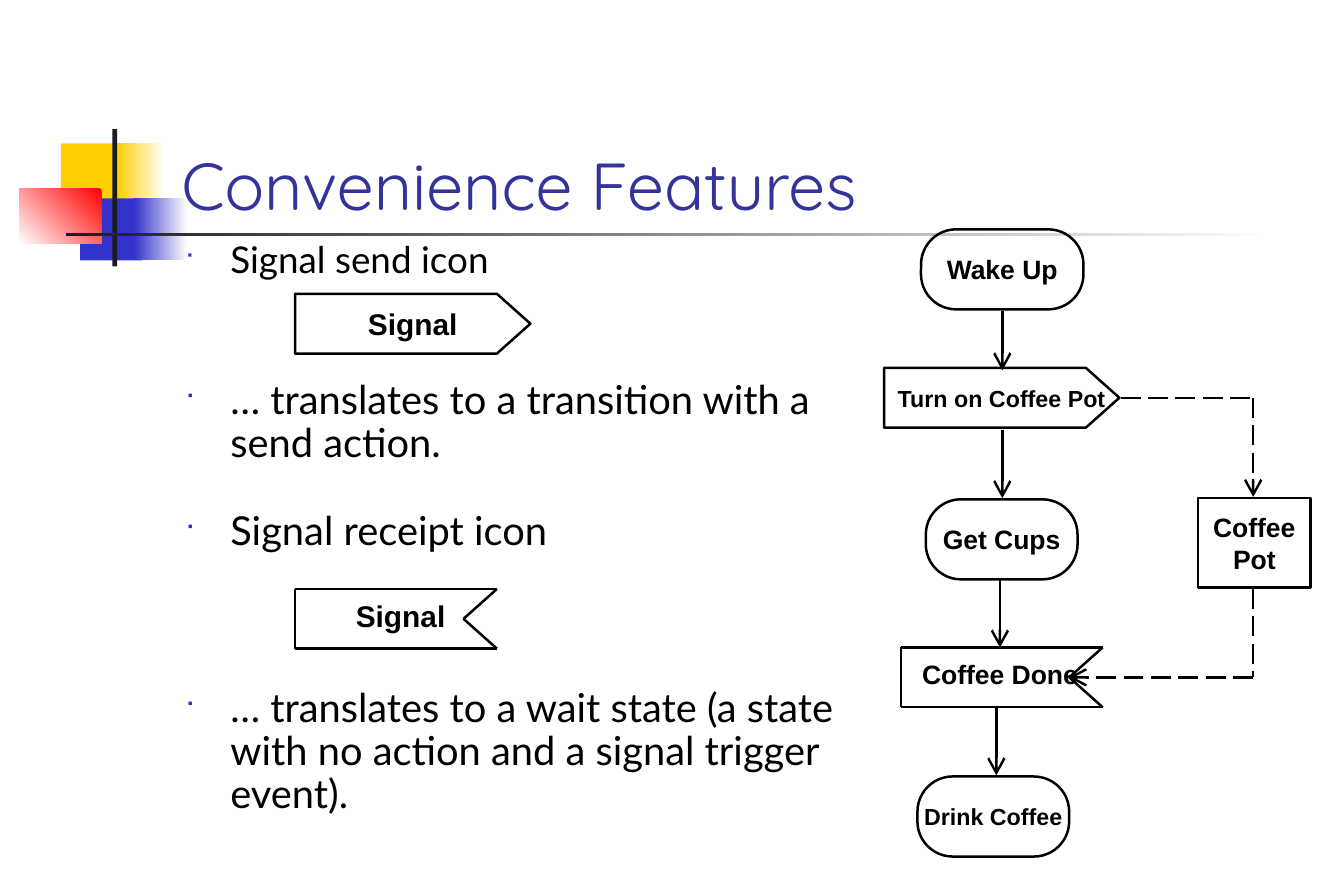
from lxml import etree
from pptx import Presentation
from pptx import util as u
from pptx.dml import color
from pptx.enum import dml, shapes, text
from pptx.oxml import ns

BLACK, BLUE = "000000", "3333CC"
RECTANGLE = shapes.MSO_SHAPE.RECTANGLE
ROUNDED = shapes.MSO_SHAPE.ROUNDED_RECTANGLE


def rgb(value):
    return color.RGBColor.from_string(value)


def inches(*values):
    return [u.Inches(value) for value in values]


def add_xml(parent, tag, **attributes):
    return etree.SubElement(parent, ns.qn(tag), attributes)


class SlideBuilder:
    label_font = "Arial"
    body_font = "Lato"
    title_font = "Quicksand"
    line_width = u.Pt(1.5)
    icon_height = 0.5
    icon_body = 1.69
    icon_tip = 0.28

    def __init__(self, presentation):
        self.slide = presentation.slides.add_slide(presentation.slide_layouts[6])

    def add_run(self, paragraph, words, size, font, fill, bold=False):
        run = paragraph.add_run()
        run.text = words
        run.font.size = u.Pt(size)
        run.font.name = font
        run.font.bold = bold
        run.font.color.rgb = rgb(fill)

    def block(self, box, fill, end=None, angle=180):
        """Borderless rectangle, solid or fading; the angle runs clockwise."""
        shape = self.slide.shapes.add_shape(RECTANGLE, *inches(*box))
        shape.shadow.inherit = False
        shape.line.fill.background()
        if end is None:
            shape.fill.solid()
            shape.fill.fore_color.rgb = rgb(fill)
            return
        shape.fill.gradient()
        shape.fill.gradient_angle = 360 - angle
        for stop, value in zip(shape.fill.gradient_stops, (fill, end)):
            stop.color.rgb = rgb(value)

    def text_box(self, box):
        frame = self.slide.shapes.add_textbox(*inches(*box)).text_frame
        frame.word_wrap = True
        return frame

    def title(self, box, words):
        frame = self.text_box(box)
        frame.vertical_anchor = text.MSO_ANCHOR.BOTTOM
        self.add_run(frame.paragraphs[0], words, 40, self.title_font, "333399")

    def bullet(self, top, height, words, size=24, spacing=0.9):
        paragraph = self.text_box((1.45, top, 5.76, height)).paragraphs[0]
        paragraph.line_spacing = spacing
        properties = paragraph._p.get_or_add_pPr()
        indent = u.Inches(0.38)
        properties.set("marL", str(indent))
        properties.set("indent", str(-indent))
        add_xml(add_xml(properties, "a:buClr"), "a:srgbClr", val=BLUE)
        add_xml(properties, "a:buSzPct", val="60000")
        add_xml(properties, "a:buFont", typeface="Wingdings")
        add_xml(properties, "a:buChar", char="■")
        self.add_run(paragraph, words, size, self.body_font, BLACK)

    def outline(self, shape, lines, size):
        """Unfilled black outline with centred bold lines of text."""
        shape.shadow.inherit = False
        shape.fill.background()
        shape.line.color.rgb = rgb(BLACK)
        shape.line.width = self.line_width
        frame = shape.text_frame
        frame.word_wrap = False
        frame.vertical_anchor = text.MSO_ANCHOR.MIDDLE
        for index, words in enumerate(lines):
            paragraph = frame.add_paragraph() if index else frame.paragraphs[0]
            paragraph.alignment = text.PP_ALIGN.CENTER
            self.add_run(paragraph, words, size, self.label_font, BLACK, True)

    def node(self, kind, box, lines, size=16):
        shape = self.slide.shapes.add_shape(kind, *inches(*box))
        if kind == ROUNDED:
            shape.adjustments[0] = 0.44
        self.outline(shape, lines, size)

    def send_icon(self, left, top, words, size):
        shoulder = left + self.icon_body
        bottom = top + self.icon_height
        points = [(shoulder, top),
                  (shoulder + self.icon_tip, top + self.icon_height / 2),
                  (shoulder, bottom), (left, bottom)]
        builder = self.slide.shapes.build_freeform(*inches(left, top), scale=1.0)
        builder.add_line_segments([inches(*point) for point in points], close=True)
        self.outline(builder.convert_to_shape(), [words], size)

    def receipt_icon(self, left, top, words, size, label_box):
        right, bottom = left + self.icon_body, top + self.icon_height
        notch = (right - self.icon_tip, top + self.icon_height / 2)
        corners = [notch, (right, top), (left, top), (left, bottom),
                   (right, bottom), notch]
        for start, end in zip(corners, corners[1:]):
            self.line(start, end)
        frame = self.text_box(label_box)
        frame.word_wrap = False
        frame.auto_size = text.MSO_AUTO_SIZE.SHAPE_TO_FIT_TEXT
        self.add_run(frame.paragraphs[0], words, size, self.label_font, BLACK, True)

    def line(self, start, end, arrow=False, dashed=False):
        connector = self.slide.shapes.add_connector(
            shapes.MSO_CONNECTOR.STRAIGHT, *inches(*start, *end))
        connector.line.color.rgb = rgb(BLACK)
        connector.line.width = self.line_width
        if dashed:
            connector.line.dash_style = dml.MSO_LINE.LONG_DASH
        if arrow:
            add_xml(connector.line._get_or_add_ln(), "a:tailEnd",
                    type="arrow", w="lg", len="lg")
        add_xml(connector._element.spPr, "a:effectLst")

    def signal_path(self, start, corner, end):
        self.line(start, corner, dashed=True)
        self.line(corner, end, arrow=True, dashed=True)


def main():
    presentation = Presentation()
    presentation.slide_width, presentation.slide_height = inches(11.25, 7.5)
    builder = SlideBuilder(presentation)

    # Corner decoration and rule
    builder.block((0.51, 1.2, 0.54, 0.52), "FFCF01")
    builder.block((0.98, 1.2, 0.4, 0.52), "FFFFFF", "FFCF01")
    builder.block((0.67, 1.66, 0.52, 0.52), BLUE)
    builder.block((1.12, 1.66, 0.45, 0.52), "FFFFFF", BLUE)
    builder.block((0.16, 1.58, 0.69, 0.46), "FF0000", "FFFFFF", 135)
    builder.block((0.94, 1.08, 0.04, 1.15), "1C1C1C")
    builder.block((0.55, 1.95, 10.12, 0.03), "FFFFFF", "1C1C1C")

    # Title and bullets
    builder.title((1.42, 0.67, 9.59, 1.25), "Convenience Features")
    builder.bullet(2, 0.41, "Signal send icon", 22.2, 0.8)
    builder.bullet(3.13, 0.51, "… translates to a transition with a send action.")
    builder.bullet(4.23, 0.51, "Signal receipt icon")
    builder.bullet(5.71, 1.37, "… translates to a wait state (a state with no "
                               "action and a signal trigger event).")

    # Example icons
    builder.send_icon(2.47, 2.46, "Signal", 18)
    builder.receipt_icon(2.47, 4.93, "Signal", 18, (2.88, 4.95, 0.95, 0.4))

    # Coffee activity diagram
    builder.node(ROUNDED, (7.71, 1.92, 1.36, 0.67), ["Wake Up"])
    builder.send_icon(7.4, 3.08, "Turn on Coffee Pot", 14)
    builder.node(ROUNDED, (7.75, 4.18, 1.27, 0.67), ["Get Cups"])
    builder.receipt_icon(7.54, 5.42, "Coffee Done", 16, (7.62, 5.46, 1.52, 0.37))
    builder.node(ROUNDED, (7.68, 6.5, 1.27, 0.67), ["Drink Coffee"], 14)
    builder.node(RECTANGLE, (10.03, 4.17, 0.94, 0.75), ["Coffee", "Pot"])

    # Flow arrows
    for x, top, bottom in [(8.39, 2.6, 3.1), (8.39, 3.6, 4.17),
                           (8.37, 4.85, 5.42), (8.34, 5.92, 6.49)]:
        builder.line((x, top), (x, bottom), arrow=True)

    # Signals to and from the coffee pot
    builder.signal_path((9.38, 3.33), (10.49, 3.33), (10.49, 4.16))
    builder.signal_path((10.49, 4.93), (10.49, 5.67), (8.95, 5.67))

    presentation.save("out.pptx")


if __name__ == "__main__":
    main()
